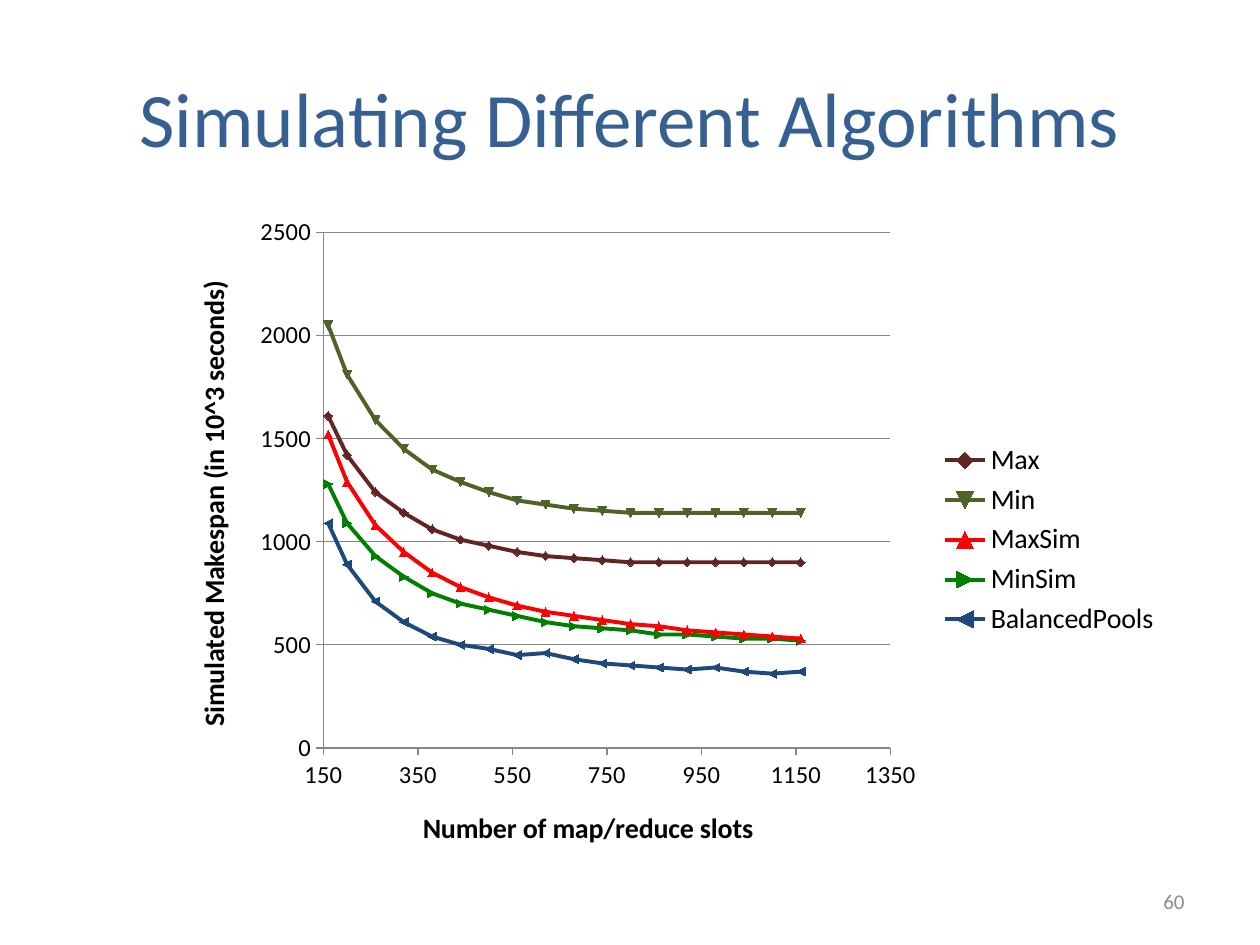
"""Build a slide comparing simulated makespans of five scheduling algorithms."""
from lxml import etree
from pptx import Presentation
from pptx.chart import data
from pptx.dml.color import RGBColor
from pptx.enum import chart as charts, text
from pptx.oxml import ns
from pptx.util import Inches, Pt

FONT = "Calibri"
BLACK = RGBColor(0x00, 0x00, 0x00)
TITLE_BLUE = RGBColor(0x37, 0x60, 0x92)
NUMBER_GRAY = RGBColor(0x8C, 0x8C, 0x8C)
AXIS_GRAY = RGBColor(0x86, 0x86, 0x86)
MAROON = RGBColor(0x63, 0x25, 0x23)
OLIVE = RGBColor(0x4F, 0x62, 0x28)
RED = RGBColor(0xFF, 0x00, 0x00)
GREEN = RGBColor(0x00, 0x80, 0x00)
NAVY = RGBColor(0x1F, 0x49, 0x7D)

SLOTS = [160, *range(200, 1161, 60)]
ALGORITHMS = [
    ("Max", MAROON, [1610, 1420, 1240, 1140, 1060, 1010, 980, 950, 930,
                     920, 910, 900, 900, 900, 900, 900, 900, 900]),
    ("Min", OLIVE, [2050, 1810, 1590, 1450, 1350, 1290, 1240, 1200, 1180,
                    1160, 1150, 1140, 1140, 1140, 1140, 1140, 1140, 1140]),
    ("MaxSim", RED, [1520, 1290, 1080, 950, 850, 780, 730, 690, 660,
                     640, 620, 600, 590, 570, 560, 550, 540, 530]),
    ("MinSim", GREEN, [1280, 1090, 930, 830, 750, 700, 670, 640, 610,
                       590, 580, 570, 550, 550, 540, 530, 530, 520]),
    ("BalancedPools", NAVY, [1090, 890, 710, 610, 540, 500, 480, 450, 460,
                             430, 410, 400, 390, 380, 390, 370, 360, 370]),
]


def style_font(font, size, color, bold=False):
    font.name = FONT
    font.size = Pt(size)
    font.bold = bold
    font.color.rgb = color


def add_label(slide, box, wording, size, color, alignment):
    shape = slide.shapes.add_textbox(*[Inches(length) for length in box])
    frame = shape.text_frame
    frame.word_wrap = True
    frame.vertical_anchor = text.MSO_ANCHOR.MIDDLE
    frame.text = wording
    paragraph = frame.paragraphs[0]
    paragraph.alignment = alignment
    style_font(paragraph.runs[0].font, size, color)


presentation = Presentation()
presentation.slide_width = Inches(10)
presentation.slide_height = Inches(7.5)
slide = presentation.slides.add_slide(presentation.slide_layouts[6])

add_label(slide, (0.5, 0.3, 9, 1.25), "Simulating Different Algorithms",
          44, TITLE_BLUE, text.PP_ALIGN.CENTER)
add_label(slide, (7.17, 6.95, 2.33, 0.4), "60",
          12, NUMBER_GRAY, text.PP_ALIGN.RIGHT)

chart_data = data.XyChartData()
for name, color, makespans in ALGORITHMS:
    series_data = chart_data.add_series(name)
    for slots, makespan in zip(SLOTS, makespans):
        series_data.add_data_point(slots, makespan)

chart = slide.shapes.add_chart(
    charts.XL_CHART_TYPE.XY_SCATTER_LINES, Inches(1.33), Inches(1.62),
    Inches(7.98), Inches(5.33), chart_data).chart
style_font(chart.font, 10, BLACK)
chart.has_title = False
chart.has_legend = True
chart.legend.position = charts.XL_LEGEND_POSITION.RIGHT
chart.legend.include_in_layout = False
style_font(chart.legend.font, 16, BLACK)

plot = chart.plots[0]
plot.vary_by_categories = False
for index, (series, algorithm) in enumerate(zip(plot.series, ALGORITHMS), 1):
    color = algorithm[1]
    series._element.idx.val = index
    series.smooth = False
    series.format.line.color.rgb = color
    series.format.line.width = Pt(2.25)
    series.marker.size = 5
    series.marker.format.fill.solid()
    series.marker.format.fill.fore_color.rgb = color
    series.marker.format.line.color.rgb = color

axes = [
    (chart.category_axis, "Number of map/reduce slots", 150, 1350, 200),
    (chart.value_axis, "Simulated Makespan (in 10^3 seconds)", 0, 2500, 500),
]
for axis, title, minimum, maximum, step in axes:
    axis.minimum_scale = minimum
    axis.maximum_scale = maximum
    axis.major_unit = step
    axis.major_tick_mark = charts.XL_TICK_MARK.OUTSIDE
    axis.minor_tick_mark = charts.XL_TICK_MARK.NONE
    axis.tick_labels.number_format = "General"
    axis.tick_labels.number_format_is_linked = False
    axis.format.line.color.rgb = AXIS_GRAY
    style_font(axis.tick_labels.font, 14, BLACK)
    title_frame = axis.axis_title.text_frame
    title_frame.text = title
    style_font(title_frame.paragraphs[0].runs[0].font, 16, BLACK, bold=True)

chart.category_axis.has_major_gridlines = False
chart.value_axis.has_major_gridlines = True
chart.value_axis.major_gridlines.format.line.color.rgb = AXIS_GRAY

plot_area = chart._chartSpace.chart.plotArea
for old_layout in plot_area.findall(ns.qn("c:layout")):
    plot_area.remove(old_layout)
layout = etree.Element(ns.qn("c:layout"))
manual = etree.SubElement(layout, ns.qn("c:manualLayout"))
for tag, value in [("layoutTarget", "inner"), ("xMode", "edge"),
                   ("yMode", "edge"), ("x", "0.155"), ("y", "0.042"),
                   ("w", "0.564"), ("h", "0.768")]:
    etree.SubElement(manual, ns.qn("c:" + tag)).set("val", value)
plot_area.insert(0, layout)

presentation.save("out.pptx")
